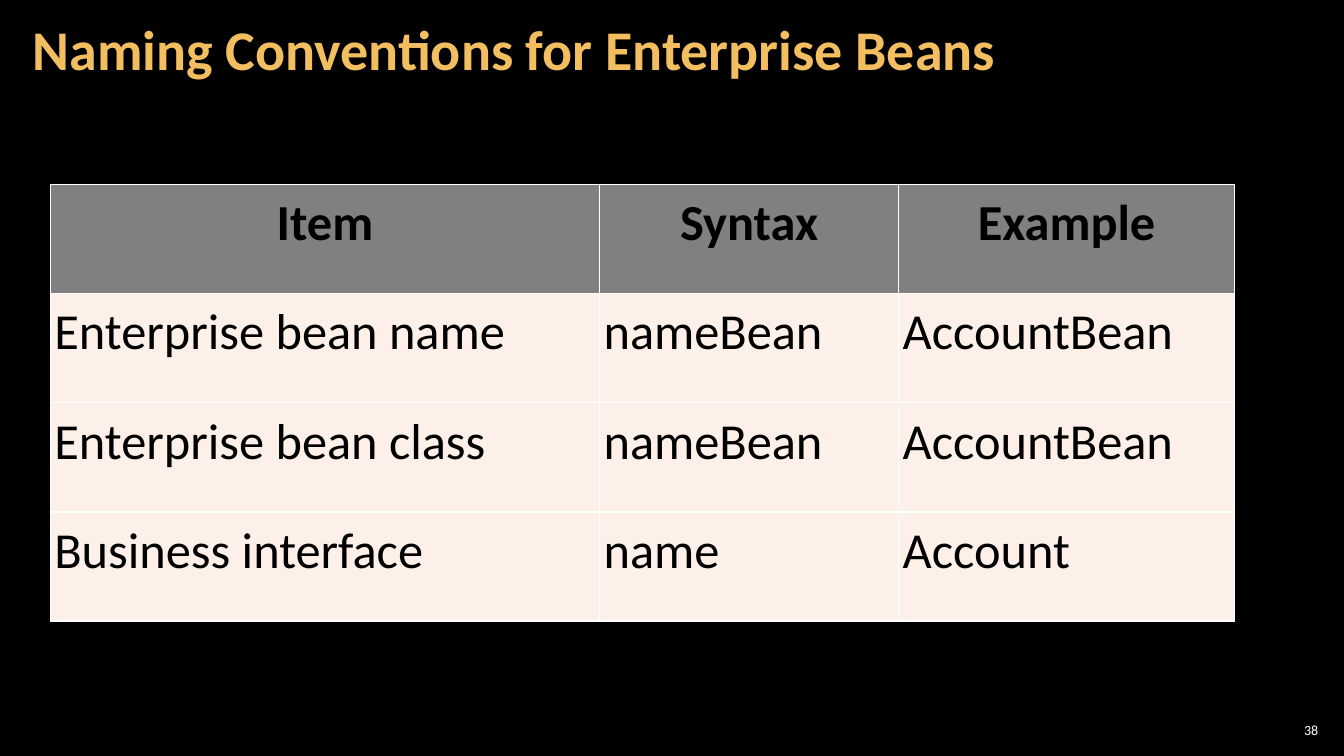
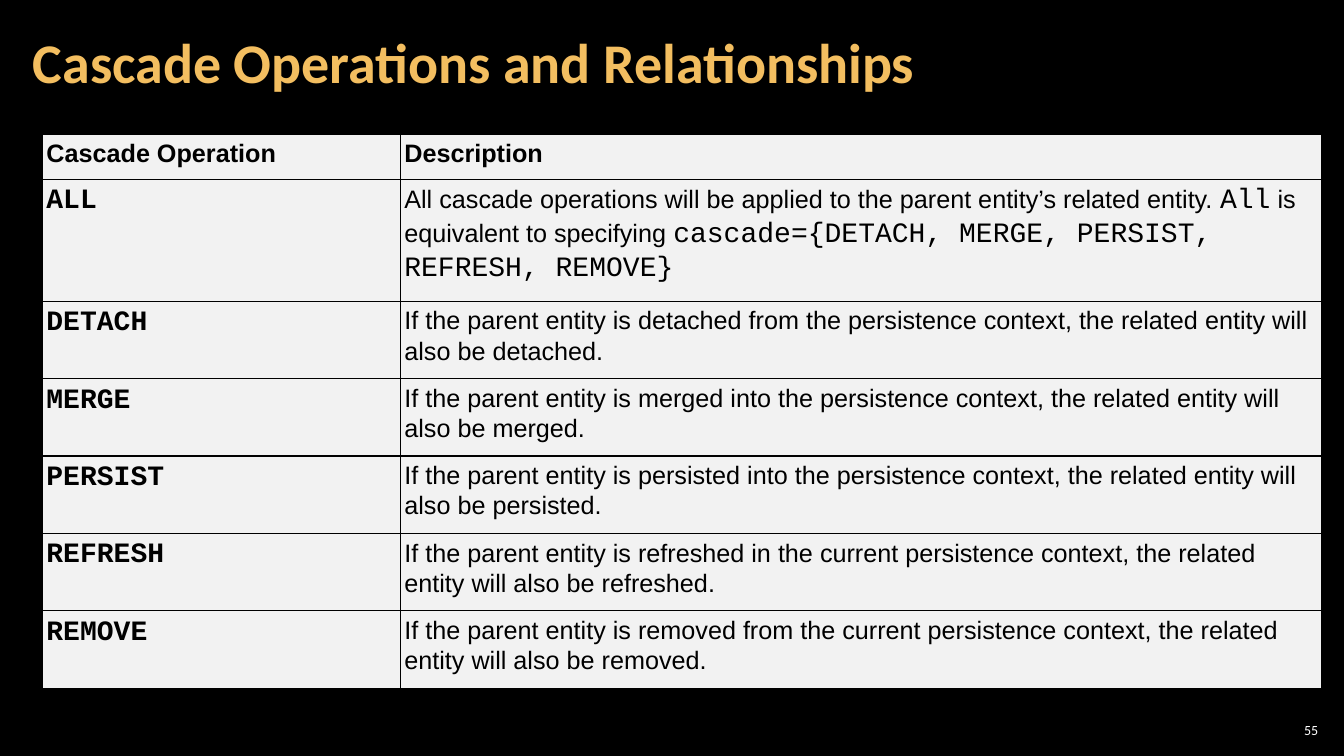
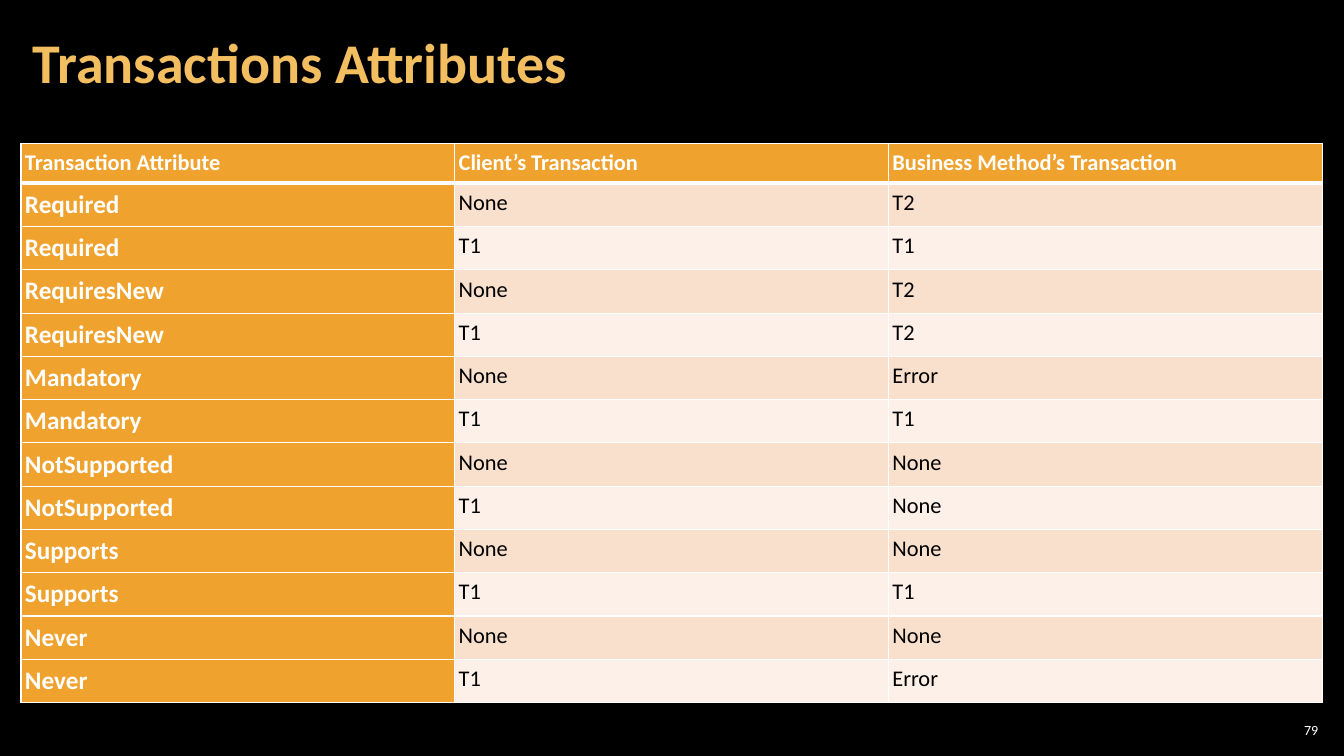
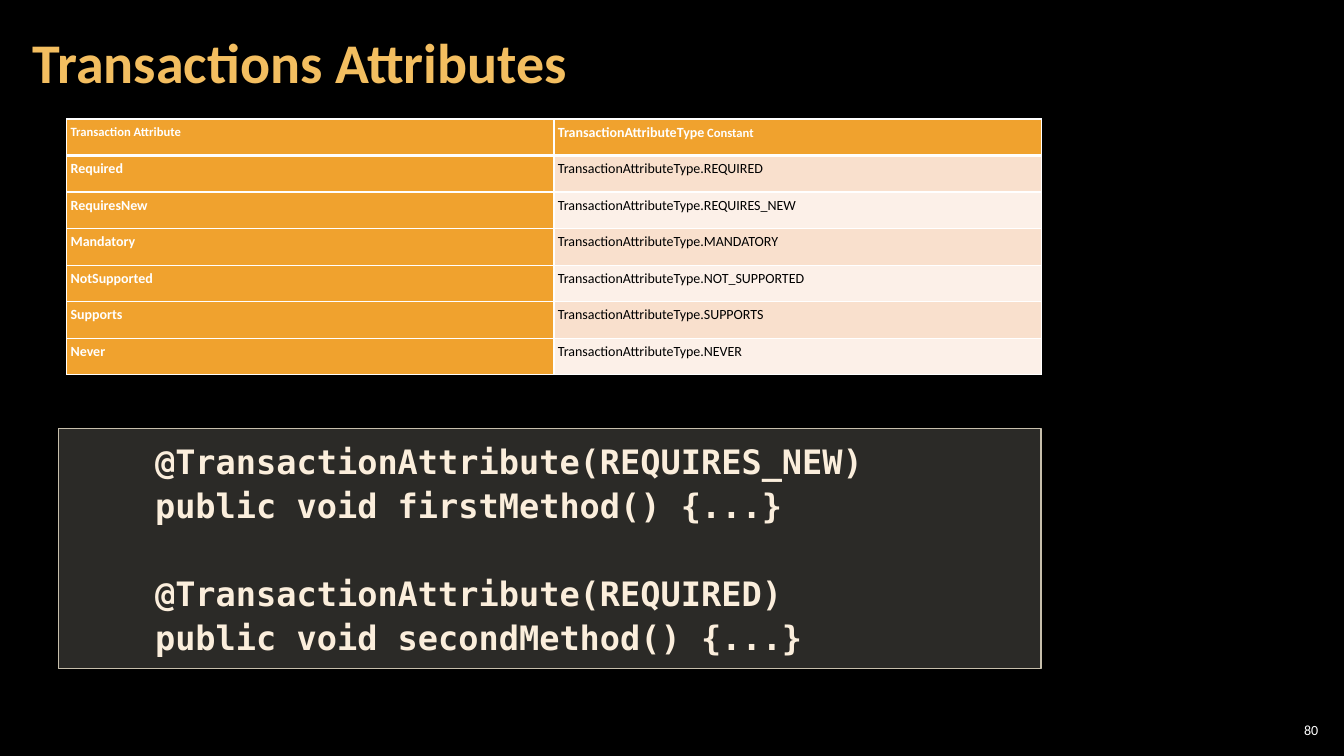
from lxml.etree import SubElement as Sub
from pptx import Presentation
from pptx.dml.color import RGBColor
from pptx.enum.shapes import MSO_SHAPE as Shape
from pptx.enum.text import MSO_ANCHOR as Anchor, MSO_AUTO_SIZE as Auto, PP_ALIGN as Align
from pptx.oxml.ns import qn
from pptx.util import Cm, Pt

BLACK, WHITE, GOLD = "000000", "FFFFFF", "F3BE60"
ORANGE, PEACH, CREAM = "F0A22E", "F9E0CD", "FCF0E8"
GRAY, PALE = "808080", "F2F2F2"
MONO = {"size": 20, "font": "Courier New"}

BEANS = [
    ("Item", "Syntax", "Example"),
    ("Enterprise bean name", "nameBean", "AccountBean"),
    ("Enterprise bean class", "nameBean", "AccountBean"),
    ("Business interface", "name", "Account"),
]

ALL = [
    ("All cascade operations will be applied to the parent entity’s related entity. ", {}),
    ("All", MONO),
    (" is equivalent to specifying ", {}),
    ("cascade={DETACH, MERGE, PERSIST, REFRESH, REMOVE}", MONO),
]
STATES = [
    ("DETACH", "detached from the"),
    ("MERGE", "merged into the"),
    ("PERSIST", "persisted into the"),
    ("REFRESH", "refreshed in the current"),
    ("REMOVE", "removed from the current"),
]
CASCADE = [("Cascade Operation", "Description"), ("ALL", ALL)] + [
    (name, f"If the parent entity is {how} persistence context, "
           f"the related entity will also be {how.split()[0]}.")
    for name, how in STATES
]

RULES = [
    ("Required", "T2", "T1", "REQUIRED"),
    ("RequiresNew", "T2", "T2", "REQUIRES_NEW"),
    ("Mandatory", "Error", "T1", "MANDATORY"),
    ("NotSupported", "None", "None", "NOT_SUPPORTED"),
    ("Supports", "None", "T1", "SUPPORTS"),
    ("Never", "None", "Error", "NEVER"),
]
CLIENT = [("Transaction Attribute", "Client’s Transaction", "Business Method’s Transaction")] + [
    (name, start, end)
    for name, none, some, _ in RULES
    for start, end in (("None", none), ("T1", some))
]
TYPES = [("Transaction Attribute",
          [("TransactionAttributeType", {"size": 10}), (" Constant", {})])] + [
    (name, f"TransactionAttributeType.{const}") for name, _, _, const in RULES
]

CODE = [
    "    @TransactionAttribute(REQUIRES_NEW)",
    "    public void firstMethod() {...}",
    "    @TransactionAttribute(REQUIRED)",
    "    public void secondMethod() {...}",
]

DARK = {"color": BLACK}
LIGHT = {"color": WHITE, "bold": True}
ARIAL = {"size": 18, "font": "Arial", "color": BLACK}
LARGE = {"size": 36, "color": BLACK, "after": 8}
BANDS = {"fills": (ORANGE, ORANGE, (PEACH, CREAM)), "edge": WHITE, "rule": 3}

SLIDES = [
    {"title": "Naming Conventions for Enterprise Beans", "tall": 2.44, "page": 38,
     "table": {"rows": BEANS, "at": (1.27, 4.65), "cols": (13.84, 7.54, 8.46),
               "tops": [2.75] * 4, "fills": (GRAY, CREAM, (CREAM,)), "edge": WHITE, "rule": 1,
               "head": {**LARGE, "bold": True, "align": Align.CENTER},
               "key": LARGE, "body": LARGE}},
    {"title": "Cascade Operations and Relationships", "tall": 3.07, "page": 55,
     "table": {"rows": CASCADE, "at": (1.07, 3.38), "cols": (9.02, 23.22),
               "tops": [1.14, 3.07] + [1.95] * 5, "fills": (PALE, PALE, (PALE,)),
               "edge": BLACK, "rule": 1, "head": {**ARIAL, "bold": True},
               "key": {**DARK, **MONO, "bold": True}, "body": ARIAL}},
    {"title": "Transactions Attributes", "tall": 3.07, "page": 79,
     "table": {**BANDS, "rows": CLIENT, "at": (0.53, 3.61), "cols": [10.93] * 3,
               "tops": [1.01] + [1.09] * 12, "head": {**LIGHT, "size": 16},
               "key": {**LIGHT, "size": 18}, "body": {**DARK, "size": 16}}},
    {"title": "Transactions Attributes", "tall": 3.07, "page": 80, "code": CODE,
     "table": {**BANDS, "rows": TYPES, "at": (1.68, 3), "cols": [12.28] * 2,
               "tops": [0.92] * 7, "head": {**LIGHT, "size": 9},
               "key": {**LIGHT, "size": 10}, "body": {**DARK, "size": 10}}},
]


def rgb(text):
    return RGBColor.from_string(text)


def write(para, text, size=18, font="Calibri", color=WHITE, bold=False,
          align=Align.LEFT, lead=1.07, before=0, after=0):
    para.alignment, para.line_spacing = align, lead
    para.space_before, para.space_after = Pt(before), Pt(after)
    base = {"size": size, "font": font}
    for part, own in [(text, {})] if isinstance(text, str) else text:
        run = para.add_run()
        run.text = part
        look = {**base, **own}
        run.font.size, run.font.name = Pt(look["size"]), look["font"]
        run.font.bold, run.font.color.rgb = bold, rgb(color)


def pad(box, left, top, right, low):
    box.margin_left, box.margin_top = Cm(left), Cm(top)
    box.margin_right, box.margin_bottom = Cm(right), Cm(low)


def border(cell, color, widths):
    props = cell._tc.get_or_add_tcPr()
    for spot, (side, width) in enumerate(zip("LRTB", widths)):
        line = props.makeelement(qn(f"a:ln{side}"), {"w": str(Pt(width))})
        Sub(Sub(line, qn("a:solidFill")), qn("a:srgbClr"), val=color)
        props.insert(spot, line)


def add_grid(slide, rows, at, cols, tops, fills, edge, rule, head, key, body):
    frame = slide.shapes.add_table(len(rows), len(cols), Cm(at[0]), Cm(at[1]),
                                   Cm(sum(cols)), Cm(sum(tops)))
    table = frame.table
    table.horz_banding = False
    for col, width in zip(table.columns, cols):
        col.width = Cm(width)
    for row, height in zip(table.rows, tops):
        row.height = Cm(height)
    top, side, bands = fills
    for r, row in enumerate(rows):
        for c, text in enumerate(row):
            cell = table.cell(r, c)
            if r == 0:
                look, fill = head, top
            elif c == 0:
                look, fill = key, side
            else:
                look, fill = body, bands[(r - 1) % len(bands)]
            pad(cell, 0.1, 0.1, 0.1, 0.15)
            cell.fill.solid()
            cell.fill.fore_color.rgb = rgb(fill)
            border(cell, edge, (1, 1, rule if r == 1 else 1, rule if r == 0 else 1))
            write(cell.text_frame.paragraphs[0], text, **look)


def add_code(slide, lines):
    box = slide.shapes.add_shape(Shape.RECTANGLE, Cm(1.47), Cm(10.8), Cm(24.77), Cm(6.05))
    box.shadow.inherit = False
    box.fill.solid()
    box.fill.fore_color.rgb = rgb("D9D5C7")
    tint = box.fill._xPr.find(qn("a:solidFill"))[0]
    Sub(tint, qn("a:alpha"), val="20000")
    box.line.color.rgb, box.line.width = rgb("C7BFAC"), Pt(1)
    frame = box.text_frame
    frame.word_wrap, frame.auto_size = True, Auto.SHAPE_TO_FIT_TEXT
    frame.vertical_anchor = Anchor.TOP
    pad(frame, 0.4, 0.2, 0.4, 0.2)
    for i, line in enumerate(lines):
        para = frame.add_paragraph() if i else frame.paragraphs[0]
        write(para, line, size=24, font="DejaVu Sans Mono", color="FBEEDC",
              bold=True, lead=1.1, before=31 if i == 2 else 0)


def add_title(slide, text, tall):
    title = slide.shapes.title
    title.left, title.top, title.width, title.height = Cm(0.53), Cm(0.1), Cm(26.59), Cm(tall)
    frame = title.text_frame
    frame.word_wrap, frame.auto_size = True, Auto.NONE
    frame.vertical_anchor = Anchor.MIDDLE
    pad(frame, 0.3, 0.1, 0.3, 0.1)
    write(frame.paragraphs[0], text, size=40, color=GOLD, bold=True, lead=0.9)


def add_page(slide, page):
    box = slide.shapes.add_textbox(Cm(32.13), Cm(18.14), Cm(1.19), Cm(0.53))
    frame = box.text_frame
    frame.word_wrap, frame.vertical_anchor = True, Anchor.MIDDLE
    pad(frame, 0.1, 0.1, 0.1, 0.1)
    write(frame.paragraphs[0], str(page), size=10, align=Align.RIGHT, lead=1.0)


def main():
    deck = Presentation()
    deck.slide_width, deck.slide_height = Cm(33.87), Cm(19.05)
    back = deck.slide_master.background.fill
    back.solid()
    back.fore_color.rgb = rgb(BLACK)
    for data in SLIDES:
        slide = deck.slides.add_slide(deck.slide_layouts[5])
        add_title(slide, data["title"], data["tall"])
        add_grid(slide, **data["table"])
        if "code" in data:
            add_code(slide, data["code"])
        add_page(slide, data["page"])
    deck.save("out.pptx")


if __name__ == "__main__":
    main()
